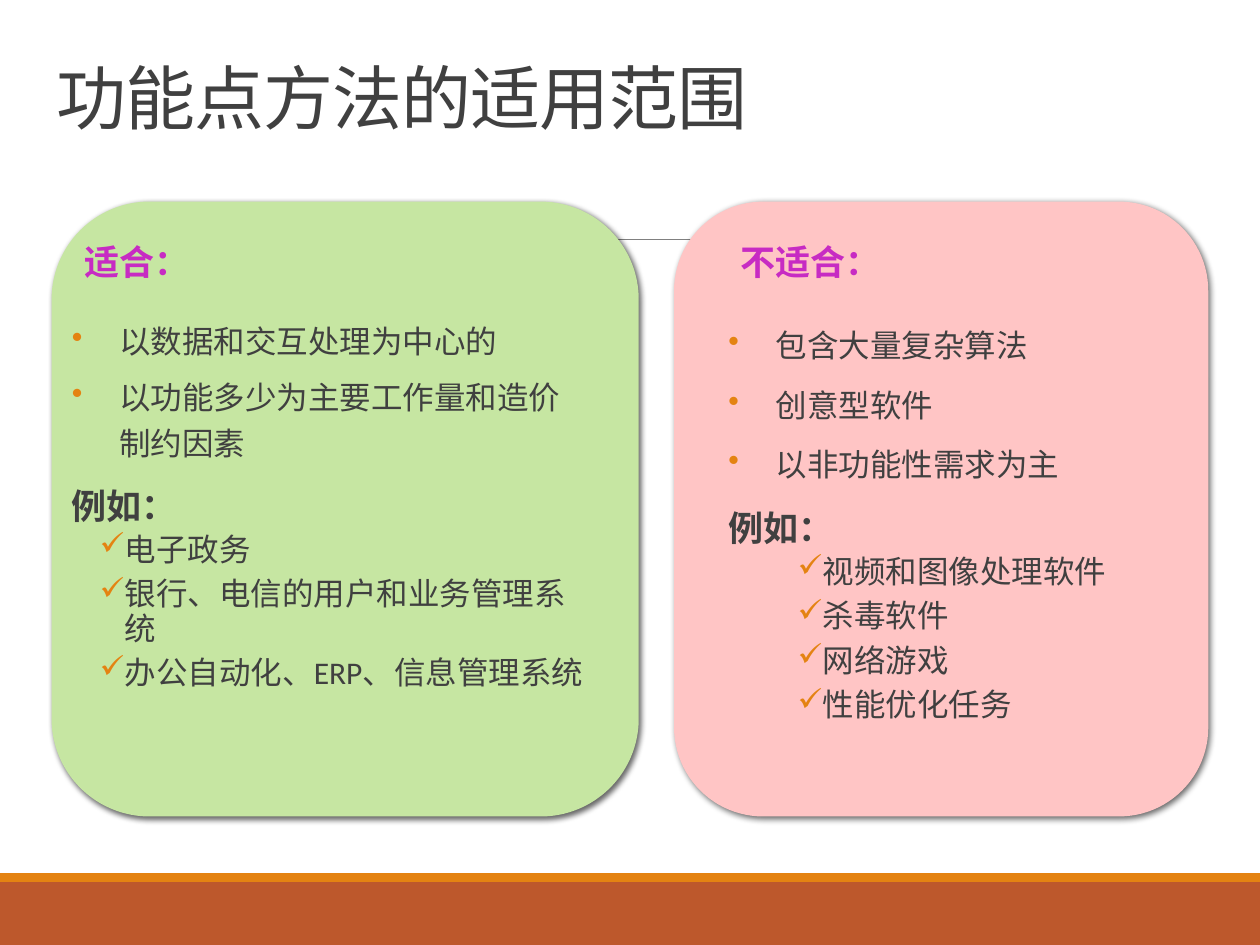
"""Build a slide contrasting where function point analysis does and does not fit."""
from dataclasses import dataclass
from typing import Optional

import pptx
import pptx.dml.color
import pptx.enum.shapes
import pptx.enum.text
import pptx.oxml
import pptx.oxml.ns
import pptx.util

Inches, Pt = pptx.util.Inches, pptx.util.Pt
MSO_SHAPE = pptx.enum.shapes.MSO_SHAPE
ANCHOR = pptx.enum.text.MSO_ANCHOR
COLUMNS, ROWS = 100, 75
WIDTH, HEIGHT = Inches(10), Inches(7.5)


@dataclass(frozen=True)
class Theme:
    font: str = "Calibri"
    ink: str = "404040"
    heading: str = "C72BC3"
    accent: str = "E48312"
    footer: str = "BD582C"
    rule: str = "808080"
    suited: str = "C6E6A2"
    unsuited: str = "FFC5C5"
    title_size: float = 40
    heading_size: float = 20
    body_size: float = 18


THEME = Theme()


@dataclass(frozen=True)
class Box:
    column: float
    row: float
    columns: float
    rows: float

    def emu(self) -> tuple[int, int, int, int]:
        return across(self.column), down(self.row), across(self.columns), down(self.rows)


@dataclass(frozen=True)
class Bullet:
    mark: str
    left: float
    hanging: float


@dataclass(frozen=True)
class Line:
    text: str
    size: float
    color: str = THEME.ink
    bold: bool = False
    spacing: float = 0.9
    before: float = 12
    after: float = 2
    bullet: Optional[Bullet] = None


@dataclass(frozen=True)
class Panel:
    card: Box
    fill: str
    text_column: float
    text_columns: float
    body_rows: float
    heading: str
    point_spacing: float
    points: tuple[str, ...]
    example_indent: float
    examples: tuple[str, ...]


def across(columns: float) -> int:
    return round(WIDTH * columns / COLUMNS)


def down(rows: float) -> int:
    return round(HEIGHT * rows / ROWS)


def rgb(color: str) -> pptx.dml.color.RGBColor:
    return pptx.dml.color.RGBColor.from_string(color)


def append_xml(parent, tag: str, attributes: str, content: str = "") -> None:
    namespace = pptx.oxml.ns.nsdecls("a")
    parent.append(pptx.oxml.parse_xml(f"<a:{tag} {namespace} {attributes}>{content}</a:{tag}>"))


def draw_block(slide, kind, box: Box, fill: str):
    block = slide.shapes.add_shape(kind, *box.emu())
    block.shadow.inherit = False
    block.fill.solid()
    block.fill.fore_color.rgb = rgb(fill)
    block.line.fill.background()
    return block


def draw_card(slide, box: Box, fill: str) -> None:
    card = draw_block(slide, MSO_SHAPE.ROUNDED_RECTANGLE, box, fill)
    effects = card._element.spPr.find(pptx.oxml.ns.qn("a:effectLst"))
    append_xml(
        effects, "outerShdw",
        f'blurRad="{Pt(3.5)}" dist="{Pt(2)}" dir="2700000" algn="tl" rotWithShape="0"',
        '<a:srgbClr val="000000"><a:alpha val="60000"/></a:srgbClr>',
    )


def draw_rule(slide, start: float, end: float, row: float) -> None:
    rule = slide.shapes.add_connector(
        pptx.enum.shapes.MSO_CONNECTOR.STRAIGHT, across(start), down(row), across(end), down(row))
    rule.line.color.rgb = rgb(THEME.rule)
    rule.line.width = Pt(0.5)
    append_xml(rule._element.spPr, "effectLst", "")


def write(slide, box: Box, lines: list[Line], anchor, side_inset: float = 1, tracking: int = 0) -> None:
    frame = slide.shapes.add_textbox(*box.emu()).text_frame
    frame_format = {
        "word_wrap": True, "vertical_anchor": anchor,
        "margin_left": across(side_inset), "margin_right": across(side_inset),
        "margin_top": down(0.5), "margin_bottom": down(0.5),
    }
    for name, value in frame_format.items():
        setattr(frame, name, value)
    for index, line in enumerate(lines):
        paragraph = frame.add_paragraph() if index else frame.paragraphs[0]
        paragraph_format = {
            "line_spacing": line.spacing, "space_before": Pt(line.before), "space_after": Pt(line.after)}
        for name, value in paragraph_format.items():
            setattr(paragraph, name, value)
        run = paragraph.add_run()
        run.text = line.text
        for name, value in {"name": THEME.font, "size": Pt(line.size), "bold": line.bold}.items():
            setattr(run.font, name, value)
        run.font.color.rgb = rgb(line.color)
        if tracking:
            run._r.get_or_add_rPr().set("spc", str(tracking))
        if line.bullet:
            properties = paragraph._p.get_or_add_pPr()
            properties.set("marL", str(across(line.bullet.left)))
            properties.set("indent", str(-across(line.bullet.hanging)))
            append_xml(properties, "buClr", "", f'<a:srgbClr val="{THEME.accent}"/>')
            append_xml(properties, "buChar", f'char="{line.bullet.mark}"')


def item(text: str, spacing: float, bullet: Bullet) -> Line:
    return Line(text, THEME.body_size, spacing=spacing, before=2, after=4, bullet=bullet)


def write_panel(slide, panel: Panel) -> None:
    heading = Line(panel.heading, THEME.heading_size, THEME.heading, bold=True)
    write(slide, Box(panel.text_column, 17.5, panel.text_columns, 7), [heading], ANCHOR.MIDDLE)
    point_bullet = Bullet("•", 3.75, 3.75)
    example_bullet = Bullet("✓", panel.example_indent, 2)
    lines = [item(text, panel.point_spacing, point_bullet) for text in panel.points]
    lines.append(Line("例如：", THEME.heading_size, bold=True))
    lines += [item(text, 0.9, example_bullet) for text in panel.examples]
    write(slide, Box(panel.text_column, 24.5, panel.text_columns, panel.body_rows), lines, ANCHOR.TOP, 0)


PANELS = (
    Panel(Box(53.5, 16, 42.4, 48.8), THEME.unsuited, 57.8, 38.1, 35.2, "不适合：", 1.3,
          ("包含大量复杂算法", "创意型软件", "以非功能性需求为主"), 7.5,
          ("视频和图像处理软件", "杀毒软件", "网络游戏", "性能优化任务")),
    Panel(Box(4.1, 16, 46.6, 48.8), THEME.suited, 5.7, 41.2, 39.4, "适合：", 1.2,
          ("以数据和交互处理为中心的", "以功能多少为主要工作量和造价制约因素"), 4.2,
          ("电子政务", "银行、电信的用户和业务管理系统", "办公自动化、ERP、信息管理系统")),
)


def main() -> None:
    deck = pptx.Presentation()
    deck.slide_width, deck.slide_height = WIDTH, HEIGHT
    slide = deck.slides.add_slide(deck.slide_layouts[6])
    draw_block(slide, MSO_SHAPE.RECTANGLE, Box(0, 70, COLUMNS, 5), THEME.footer)
    draw_block(slide, MSO_SHAPE.RECTANGLE, Box(0, 69.3, COLUMNS, 0.7), THEME.accent)
    draw_rule(slide, 9.8, 91.5, 19)
    for panel in PANELS:
        draw_card(slide, panel.card, panel.fill)
    title = Line("功能点方法的适用范围", THEME.title_size, spacing=0.85, before=0, after=0)
    write(slide, Box(3.5, 3.2, 57.6, 8.3), [title], ANCHOR.BOTTOM, tracking=-50)
    for panel in reversed(PANELS):
        write_panel(slide, panel)
    deck.save("out.pptx")


if __name__ == "__main__":
    main()
